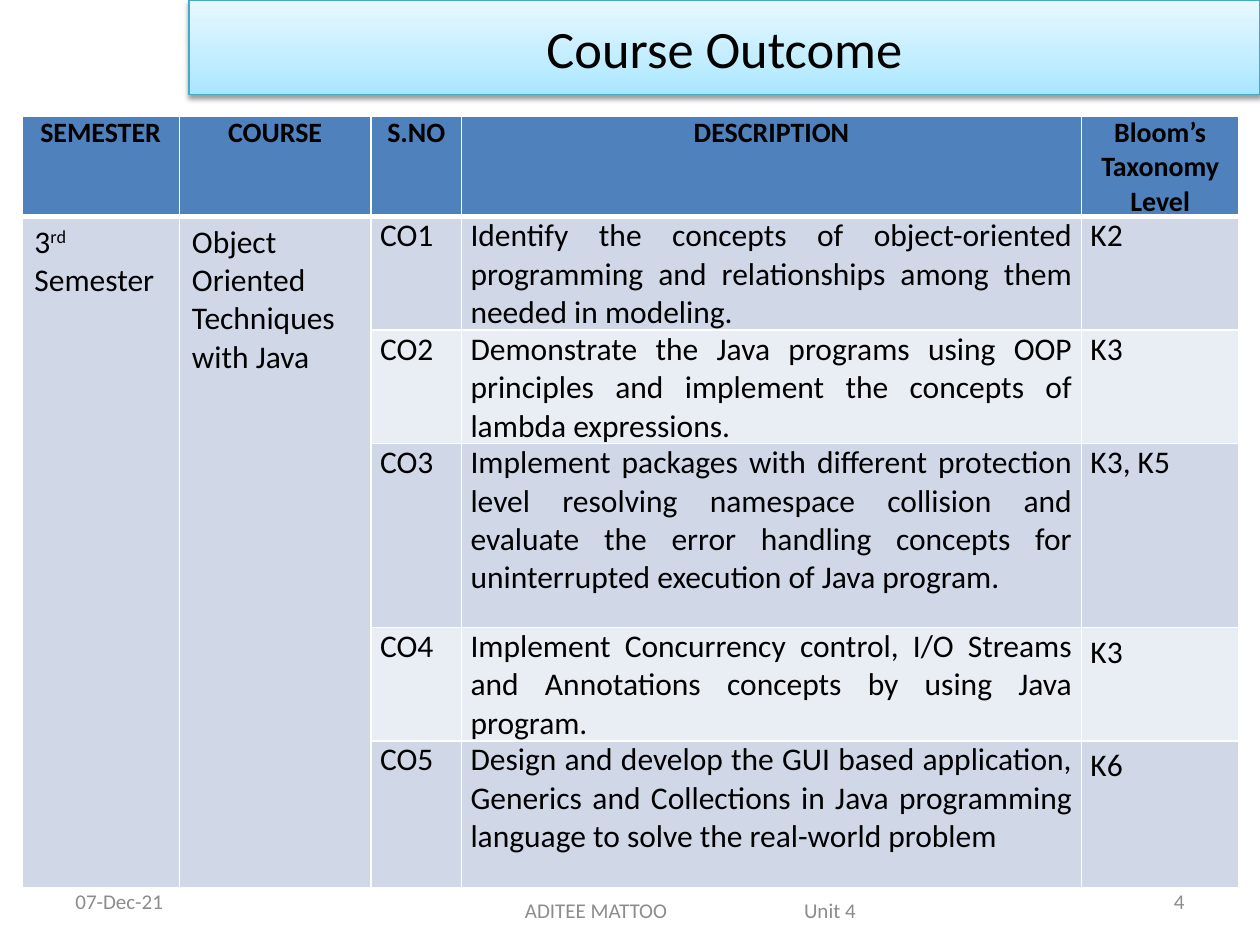
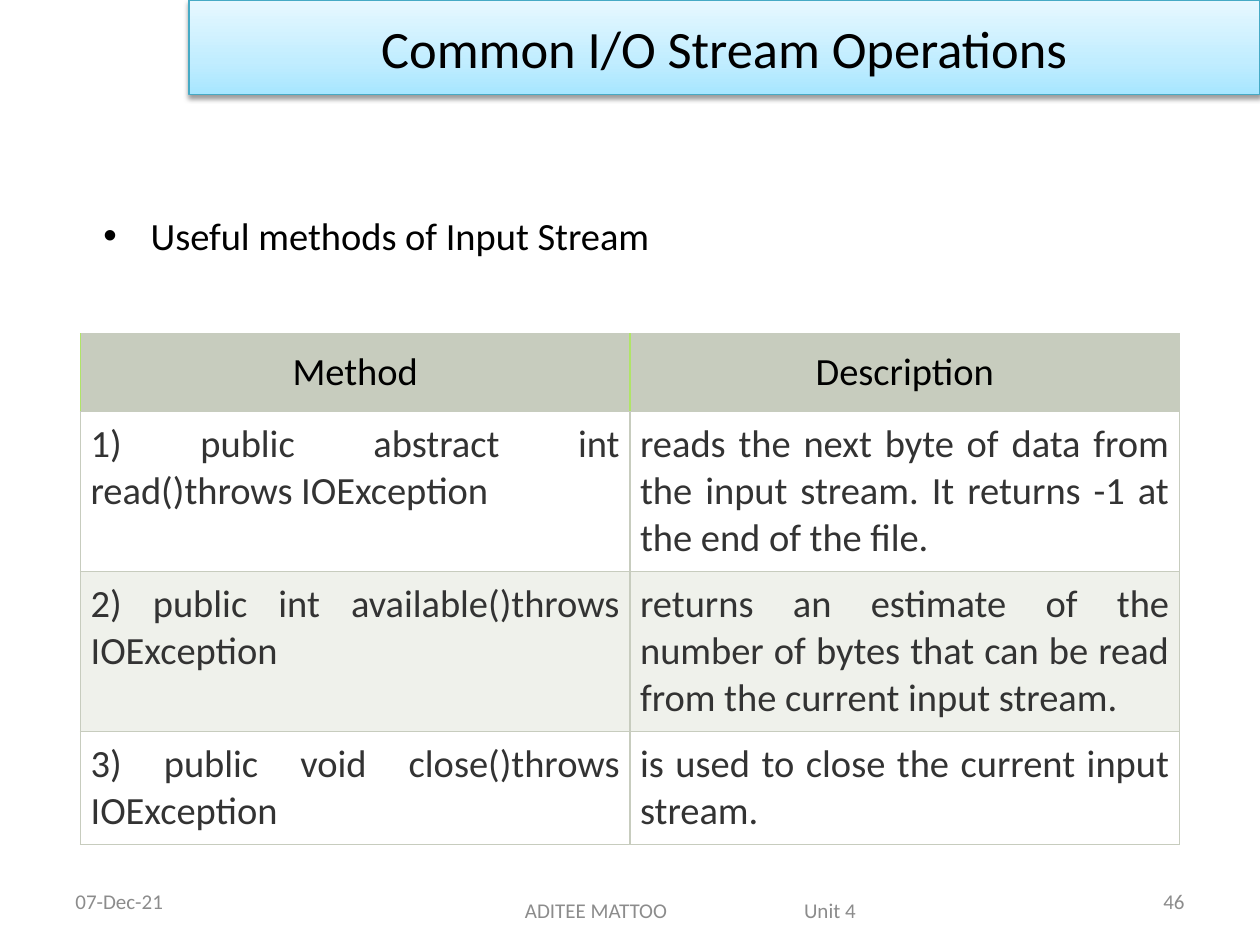
import lxml.etree
import pptx
import pptx.dml.color
import pptx.enum.shapes
import pptx.enum.text
import pptx.oxml.ns
import pptx.util

Pt = pptx.util.Pt
ALIGN = pptx.enum.text.PP_ALIGN
ANCHOR = pptx.enum.text.MSO_ANCHOR
qn = pptx.oxml.ns.qn

OUTCOMES = [
    ("CO1", "Identify the concepts of object-oriented programming and relationships "
            "among them needed in modeling.", "K2"),
    ("CO2", "Demonstrate the Java programs using OOP principles and implement the "
            "concepts of lambda expressions.", "K3"),
    ("CO3", "Implement packages with different protection level resolving namespace "
            "collision and evaluate the error handling concepts for uninterrupted "
            "execution of Java program.", "K3, K5"),
    ("CO4", "Implement Concurrency control, I/O Streams and Annotations concepts by "
            "using Java program.", "K3"),
    ("CO5", "Design and develop the GUI based application, Generics and Collections in "
            "Java programming language to solve the real-world problem", "K6"),
]
METHODS = [
    ("1) public abstract int read()throws IOException",
     "reads the next byte of data from the input stream. It returns -1 at the end of the file."),
    ("2) public int available()throws IOException",
     "returns an estimate of the number of bytes that can be read from the current input stream."),
    ("3) public void close()throws IOException",
     "is used to close the current input stream."),
]


def color(value):
    return pptx.dml.color.RGBColor.from_string(value)


def apply(target, values):
    for name, value in values.items():
        setattr(target, name, value)


def add_element(parent, tag, **attributes):
    return lxml.etree.SubElement(parent, qn(tag), attributes)


def add_color(parent, value):
    return add_element(parent, "a:srgbClr", val=str(color(value)))


class Deck:
    """Holds the shared style and the slide being built."""

    font = "Calibri"
    black = "000000"
    muted = "8C8C8C"
    band_stops = [(0, "A7E6FF"), (35, "C1EDFF"), (100, "E7F8FF")]
    band_line = "46AAC5"

    def __init__(self):
        self.presentation = pptx.Presentation()
        apply(self.presentation, {"slide_width": Pt(720), "slide_height": Pt(540)})
        self.slide = None

    def add_slide(self, title, number):
        self.slide = self.presentation.slides.add_slide(self.presentation.slide_layouts[6])
        self.text((36, 500.4, 168, 28.8), "07-Dec-21", 12, self.muted, anchor=ANCHOR.MIDDLE)
        self.text((516, 500.4, 168, 28.8), str(number), 12, self.muted, ALIGN.RIGHT,
                  anchor=ANCHOR.MIDDLE)
        self.band(title)
        self.footer("ADITEE MATTOO", "Unit 4")

    def paragraph(self, text_frame, text, size, font_color, align=ALIGN.LEFT, bold=False,
                  spacing=1.0):
        text_frame.word_wrap = True
        paragraph = text_frame.paragraphs[0]
        apply(paragraph, {"alignment": align, "line_spacing": spacing})
        for content, baseline in [(text, 0)] if isinstance(text, str) else text:
            run = paragraph.add_run()
            run.text = content
            apply(run.font, {"name": self.font, "size": Pt(size), "bold": bold})
            run.font.color.rgb = color(font_color)
            if baseline:
                run._r.get_or_add_rPr().set("baseline", str(baseline * 1000))
        return paragraph

    def text(self, box, text, size, font_color, align=ALIGN.LEFT, anchor=ANCHOR.TOP, inset=7.2):
        shape = self.slide.shapes.add_textbox(*map(Pt, box))
        apply(shape.text_frame, {"vertical_anchor": anchor, "margin_left": Pt(inset)})
        return self.paragraph(shape.text_frame, text, size, font_color, align)

    def footer(self, author, unit):
        paragraph = self.text((198, 500.4, 396, 39.6), f"{author}\t{unit}", 12, self.muted,
                              anchor=ANCHOR.MIDDLE, inset=102)
        tabs = add_element(paragraph._p.get_or_add_pPr(), "a:tabLst")
        add_element(tabs, "a:tab", pos=str(Pt(159.5)), algn="l")

    def bullet(self, box, text, size, indent):
        paragraph = self.text(box, text, size, self.black, ALIGN.JUSTIFY)
        properties = paragraph._p.get_or_add_pPr()
        properties.set("marL", str(Pt(indent)))
        properties.set("indent", str(-Pt(indent)))
        add_element(properties, "a:buFont", typeface="Arial")
        add_element(properties, "a:buChar", char="•")

    def band(self, title):
        shape = self.slide.shapes.add_shape(
            pptx.enum.shapes.MSO_SHAPE.RECTANGLE, Pt(108), 0, Pt(612), Pt(54))
        shape.fill.gradient()
        shape.fill.gradient_angle = 90
        properties = shape._element.spPr
        stops = properties.find(".//" + qn("a:gsLst"))
        stops.clear()
        for position, value in self.band_stops:
            add_color(add_element(stops, "a:gs", pos=str(position * 1000)), value)
        shape.line.color.rgb = color(self.band_line)
        shape.line.width = Pt(0.75)
        shape.shadow.inherit = False
        shadow = add_element(properties.find(qn("a:effectLst")), "a:outerShdw",
                             blurRad=str(Pt(3.1)), dist=str(Pt(1.6)), dir="5400000", rotWithShape="0")
        add_element(add_color(shadow, self.black), "a:alpha", val="38000")
        shape.text_frame.vertical_anchor = ANCHOR.MIDDLE
        self.paragraph(shape.text_frame, title, 30, self.black, ALIGN.CENTER)

    def table(self, left, top, columns, rows):
        table = self.slide.shapes.add_table(
            len(rows), len(columns), Pt(left), Pt(top), Pt(sum(columns)), Pt(sum(rows))).table
        apply(table, {"first_row": False, "horz_banding": False})
        for column, width in zip(table.columns, columns):
            column.width = Pt(width)
        for row, height in zip(table.rows, rows):
            row.height = Pt(height)
        return table

    def cell(self, cell, text, size, fill, borders, insets, font_color=black, **format_values):
        for side in "LRTB":
            value, width = borders[side]
            line = add_element(cell._tc.get_or_add_tcPr(), f"a:ln{side}", w=str(Pt(width)))
            add_color(add_element(line, "a:solidFill"), value)
        cell.fill.solid()
        cell.fill.fore_color.rgb = color(fill)
        horizontal, vertical = map(Pt, insets)
        apply(cell, {"margin_left": horizontal, "margin_right": horizontal,
                     "margin_top": vertical, "margin_bottom": vertical})
        self.paragraph(cell.text_frame, text, size, font_color, **format_values)


def build_course_outcome(deck):
    deck.add_slide("Course Outcome", 4)
    table = deck.table(12.5, 66.25, [90, 109.5, 51.75, 354.25, 90],
                       [56.5, 63.5, 63.5, 105, 63.5, 84])
    thin, thick = ("FFFFFF", 1), ("FFFFFF", 3)
    grid = dict.fromkeys("LRTB", thin)
    below_header = grid | {"T": thick}
    bands = ["D0D8E8", "E9EDF4"]
    headings = ["SEMESTER", "COURSE", "S.NO", "DESCRIPTION", "Bloom’s Taxonomy Level"]
    for index, heading in enumerate(headings):
        deck.cell(table.cell(0, index), heading, 16, "4F81BD", grid | {"B": thick}, (5.2, 0),
                  align=ALIGN.CENTER, bold=True)
    semester = [("3", 0), ("rd ", 30), ("Semester", 0)]
    for index, text in enumerate([semester, "Object Oriented Techniques with Java"]):
        table.cell(1, index).merge(table.cell(len(OUTCOMES), index))
        deck.cell(table.cell(1, index), text, 18, bands[0], below_header, (7.2, 3.6))
    for row, outcome in enumerate(OUTCOMES, 1):
        for column, text in enumerate(outcome, 2):
            deck.cell(table.cell(row, column), text, 18, bands[(row - 1) % 2],
                      below_header if row == 1 else grid, (5.2, 0),
                      align=ALIGN.JUSTIFY if column == 3 else ALIGN.LEFT,
                      spacing=1.15 if column == 4 and row > 3 else 1.0)


def build_stream_operations(deck):
    deck.add_slide("Common I/O Stream Operations", 46)
    deck.bullet((52, 117.5, 356.5, 34), "Useful methods of Input Stream", 22, 27)
    table = deck.table(46, 190.75, [314, 314], [44.5, 91.5, 91.5, 64.5])
    gray, green = ("C7CCBE", 0.75), ("B0E468", 0.75)
    grid = dict.fromkeys("LRTB", gray)
    header_borders = [grid | {"L": green, "R": green}, grid | {"L": green}]
    for index, heading in enumerate(["Method", "Description"]):
        deck.cell(table.cell(0, index), heading, 22, gray[0], header_borders[index], (8.8, 8.8),
                  align=ALIGN.CENTER)
    for row, method in enumerate(METHODS, 1):
        for column, text in enumerate(method):
            deck.cell(table.cell(row, column), text, 22, "FFFFFF" if row % 2 else "EFF1EB",
                      grid, (5.8, 5.4), "333333", align=ALIGN.JUSTIFY)


def main():
    deck = Deck()
    build_course_outcome(deck)
    build_stream_operations(deck)
    deck.presentation.save("out.pptx")


if __name__ == "__main__":
    main()
